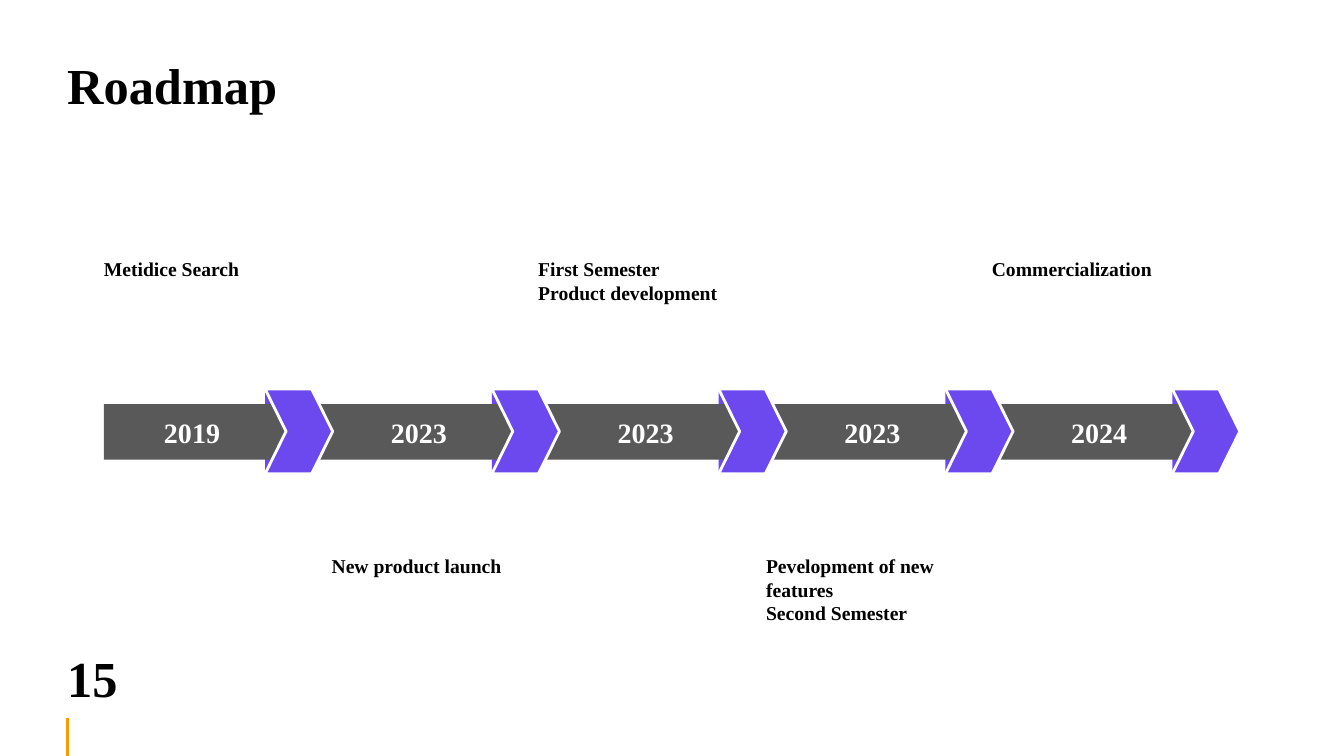
import pptx
import pptx.util
import pptx.dml.color
import pptx.enum.shapes
import pptx.enum.text
import pptx.oxml
from dataclasses import dataclass

Shape = pptx.enum.shapes.MSO_SHAPE
Anchor = pptx.enum.text.MSO_ANCHOR
Align = pptx.enum.text.PP_ALIGN


@dataclass(frozen=True)
class Theme:
    font: str = "Times New Roman"
    ink: str = "000000"
    paper: str = "FFFFFF"
    bar: str = "595959"
    mark: str = "6C49EE"
    rule: str = "FF9900"
    head: int = 36
    year: int = 20
    note: int = 14
    edge: int = 2
    lead: float = 1.21


def paint(code):
    return pptx.dml.color.RGBColor.from_string(code)


class Board:
    """Draws styled elements on one slide laid out on a grid of 40 columns and 30 rows."""

    def __init__(self, deck, theme):
        self.theme = theme
        self.col = deck.slide_width / 40
        self.row = deck.slide_height / 30
        self.slide = deck.slides.add_slide(deck.slide_layouts[6])

    def place(self, x, y, w, h):
        return [round(n) for n in (x * self.col, y * self.row, w * self.col, h * self.row)]

    def text(self, words, x, y, w, h, size, color=None, align=Align.LEFT, anchor=Anchor.TOP):
        frame = self.slide.shapes.add_textbox(*self.place(x, y, w, h)).text_frame
        frame.word_wrap = True
        frame.vertical_anchor = anchor
        frame.margin_left = frame.margin_right = 0
        frame.margin_top = frame.margin_bottom = 0
        frame.text = words
        for para in frame.paragraphs:
            para.alignment = align
            para.line_spacing = pptx.util.Pt(round(size * self.theme.lead))
            font = para.runs[0].font
            font.name = self.theme.font
            font.size = pptx.util.Pt(size)
            font.bold = True
            font.color.rgb = paint(color or self.theme.ink)

    def block(self, kind, x, y, w, h, fill, edge=None):
        shape = self.slide.shapes.add_shape(kind, *self.place(x, y, w, h))
        shape.shadow.inherit = False
        shape.fill.solid()
        shape.fill.fore_color.rgb = paint(fill)
        if edge:
            shape.line.color.rgb = paint(edge)
            shape.line.width = pptx.util.Pt(self.theme.edge)
        else:
            shape.line.fill.background()
        return shape

    def rule(self, x, top, end):
        left, high, _, low = self.place(x, top, 0, end)
        line = self.slide.shapes.add_connector(
            pptx.enum.shapes.MSO_CONNECTOR.STRAIGHT, left, high, left, low)
        line.line.color.rgb = paint(self.theme.rule)
        line.line.width = pptx.util.Pt(self.theme.edge)
        tag = pptx.oxml.ns.qn("a:effectLst")
        line._element.spPr.append(line._element.makeelement(tag, {}))


def main():
    deck = pptx.Presentation()
    deck.slide_width = pptx.util.Inches(13.33)
    deck.slide_height = pptx.util.Inches(7.5)
    theme = Theme()
    board = Board(deck, theme)

    board.rule(2, 28.48, 30)
    board.text("Roadmap", 2, 1.76, 36, 3.12, theme.head, anchor=Anchor.MIDDLE)
    board.text("15", 2, 26.04, 2.4, 1.6, theme.head, anchor=Anchor.MIDDLE)

    steps = [
        ("2019", "Metidice Search", 3.09),
        ("2023", "New product launch", 9.87),
        ("2023", "First Semester\nProduct development", 16.02),
        ("2023", "Pevelopment of new features\nSecond Semester", 22.8),
        ("2024", "Commercialization", 29.52),
    ]
    pitch = 6.75
    marks = [7.89 + pitch * i for i in range(len(steps))]
    for x in marks:
        board.block(Shape.RECTANGLE, x, 15.44, 1.32, 3.36, theme.mark)
    board.block(Shape.RECTANGLE, 3.09, 16.04, 33.15, 2.2, theme.bar)
    for x in marks:
        arrow = board.block(Shape.CHEVRON, x, 15.44, 2.01, 3.36, theme.mark, theme.paper)
        arrow.adjustments[0] = 0.31

    for i, (year, note, left) in enumerate(steps):
        board.text(year, 3.81 + pitch * i, 16.48, 3.81, 1.28, theme.year,
                   color=theme.paper, align=Align.CENTER)
        board.text(note, left, 21.96 if i % 2 else 10.2, 5.85, 0.95, theme.note)

    deck.save("out.pptx")


if __name__ == "__main__":
    main()
